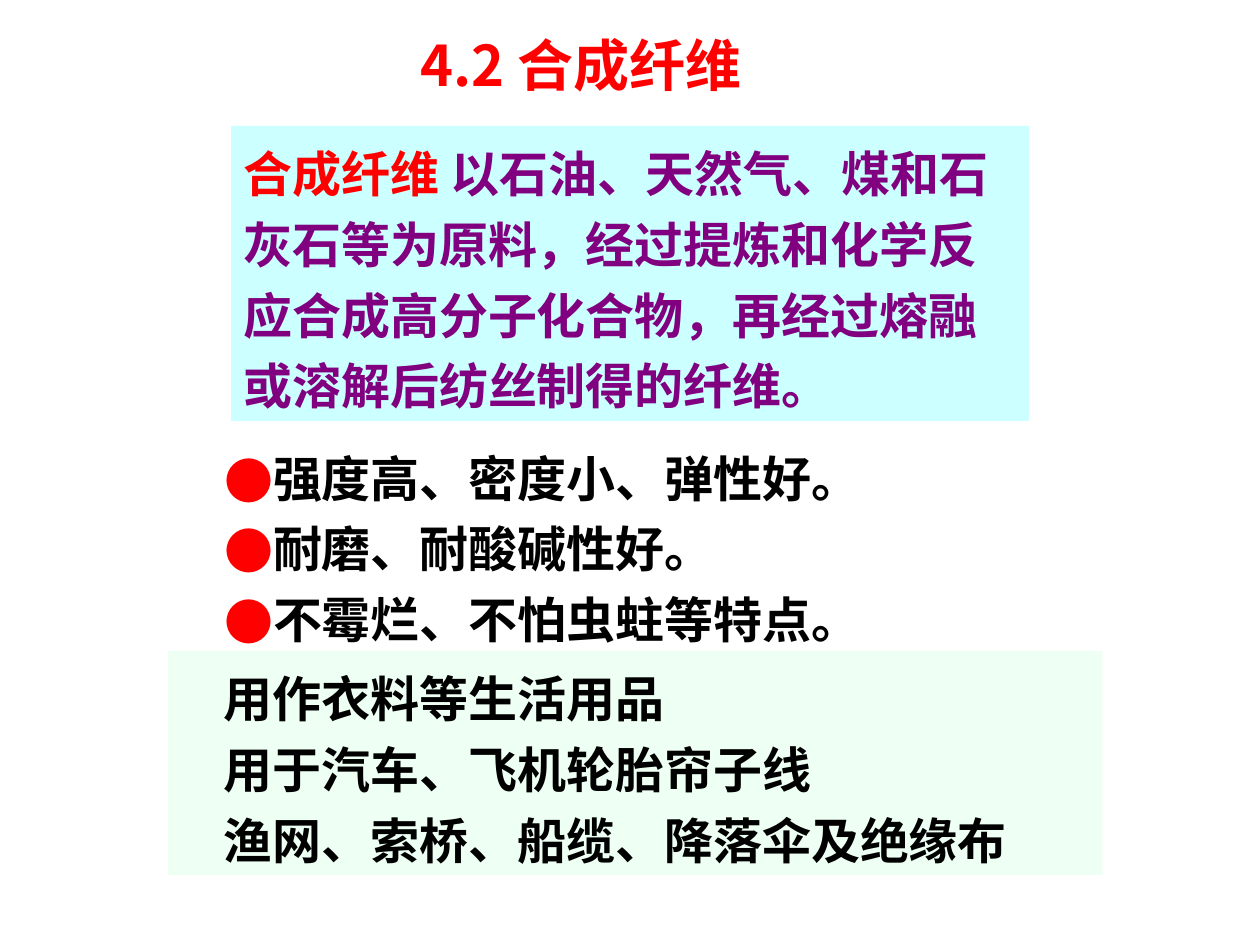
from pptx import Presentation
from pptx import util as u
from pptx.dml import color as dml
from pptx.enum import shapes, text
from pptx.oxml import ns
from lxml import etree

FONT = "Noto Sans CJK SC"
RED, PURPLE, BLACK = "FF0000", "800080", "000000"
MINT, CYAN = "EEFFF4", "CCFFFF"


def rgb(value):
    return dml.RGBColor.from_string(value)


def add_child(parent, tag, **attributes):
    return etree.SubElement(parent, ns.qn(tag), attributes)


class SlideBuilder:
    """Holds the text style and the slide being filled."""

    def __init__(self, slide, size=28, line_spacing=1.2):
        self.slide = slide
        self.size = size
        self.line_spacing = line_spacing

    def add_bullet(self, paragraph, color):
        properties = paragraph._p.get_or_add_pPr()
        properties.set("marL", str(u.Pt(self.size)))
        properties.set("indent", str(-u.Pt(self.size)))
        add_child(add_child(properties, "a:buClr"), "a:srgbClr", val=color)
        add_child(properties, "a:buFont", typeface=FONT)
        add_child(properties, "a:buChar", char="●")

    def add_run(self, paragraph, words, color, size):
        run = paragraph.add_run()
        run.text = words
        run.font.color.rgb = rgb(color)
        for name, value in {"size": u.Pt(size), "bold": True, "name": FONT}.items():
            setattr(run.font, name, value)
        add_child(run.font._element, "a:ea", typeface=FONT)

    def set_text(self, shape, paragraphs, size=None, align=text.PP_ALIGN.LEFT,
                 bullet=None, left=7.2, right=7.2):
        frame = shape.text_frame
        settings = {
            "word_wrap": True,
            "vertical_anchor": text.MSO_ANCHOR.TOP,
            "margin_left": u.Pt(left),
            "margin_right": u.Pt(right),
            "margin_top": u.Pt(3.6),
            "margin_bottom": u.Pt(3.6),
        }
        for name, value in settings.items():
            setattr(frame, name, value)
        for index, runs in enumerate(paragraphs):
            paragraph = frame.add_paragraph() if index else frame.paragraphs[0]
            for name, value in {"alignment": align, "line_spacing": self.line_spacing}.items():
                setattr(paragraph, name, value)
            if bullet:
                self.add_bullet(paragraph, bullet)
            for words, color in runs:
                self.add_run(paragraph, words, color, size or self.size)

    def text_box(self, box, paragraphs, **options):
        shape = self.slide.shapes.add_textbox(*map(u.Pt, box))
        self.set_text(shape, paragraphs, **options)

    def panel(self, box, fill, paragraphs, **options):
        shape = self.slide.shapes.add_shape(shapes.MSO_SHAPE.RECTANGLE, *map(u.Pt, box))
        shape.shadow.inherit = False
        shape.fill.solid()
        shape.fill.fore_color.rgb = rgb(fill)
        shape.line.fill.background()
        self.set_text(shape, paragraphs, **options)


def main():
    presentation = Presentation()
    presentation.slide_width, presentation.slide_height = u.Pt(720), u.Pt(540)
    builder = SlideBuilder(presentation.slides.add_slide(presentation.slide_layouts[6]))

    title = [[("4.2 合成纤维", RED)]]
    uses = ["用作衣料等生活用品", "用于汽车、飞机轮胎帘子线", "渔网、索桥、船缆、降落伞及绝缘布"]
    definition = [[
        ("合成纤维 ", RED),
        ("以石油、天然气、煤和石灰石等为原料，经过提炼和化学反应合成高分子化合物，"
         "再经过熔融或溶解后纺丝制得的纤维。", PURPLE),
    ]]
    features = ["强度高、密度小、弹性好。", "耐磨、耐酸碱性好。", "不霉烂、不怕虫蛀等特点。"]

    builder.text_box((60, 6, 582, 53), title, size=32, align=text.PP_ALIGN.CENTER, right=45)
    builder.panel((96, 372, 534, 128), MINT, [[(line, BLACK)] for line in uses], left=32)
    builder.panel((132, 72, 456, 168.5), CYAN, definition)
    builder.text_box((96, 246, 528, 128), [[(line, BLACK)] for line in features],
                     bullet=RED, left=32)

    presentation.save("out.pptx")


if __name__ == "__main__":
    main()
